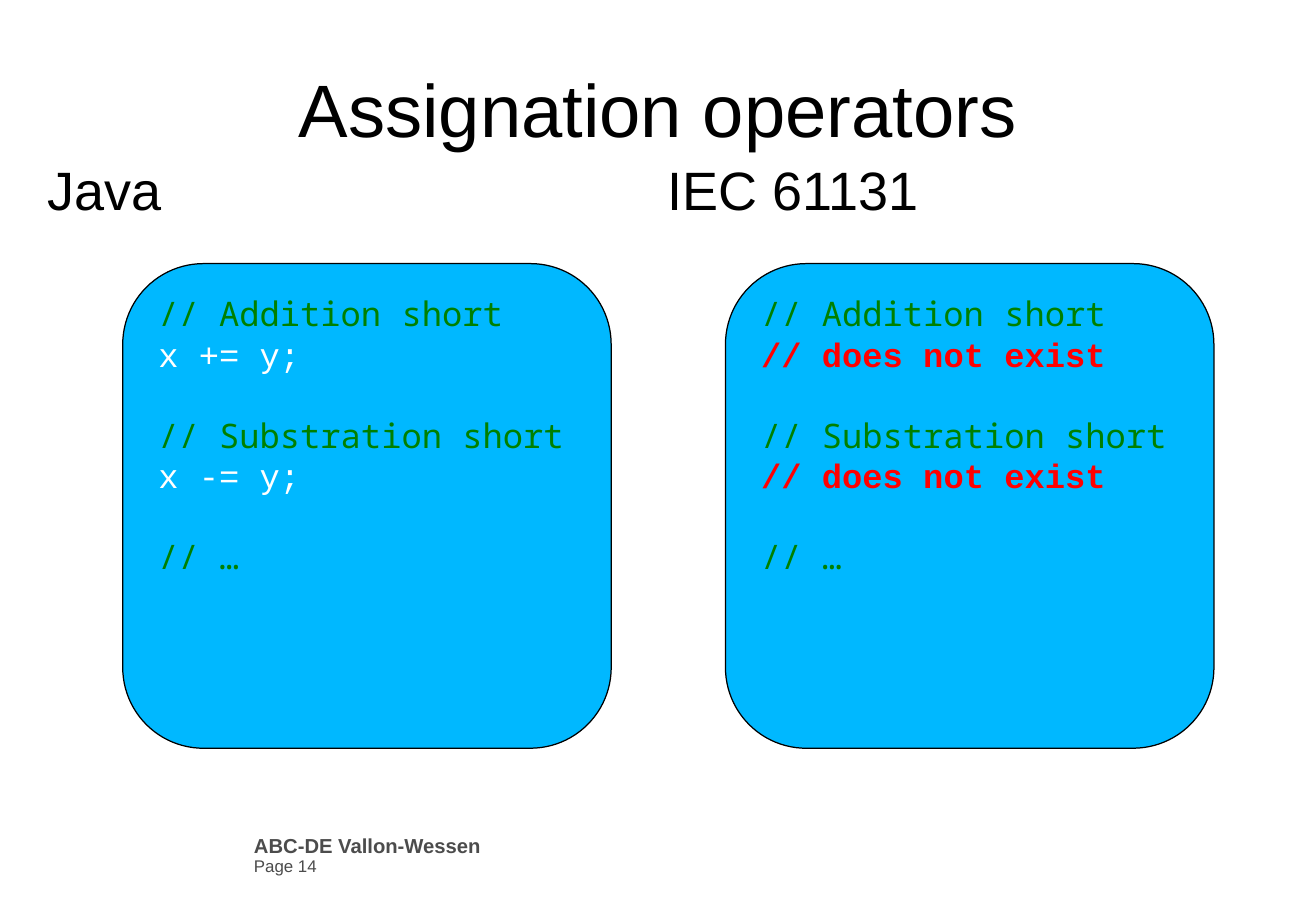
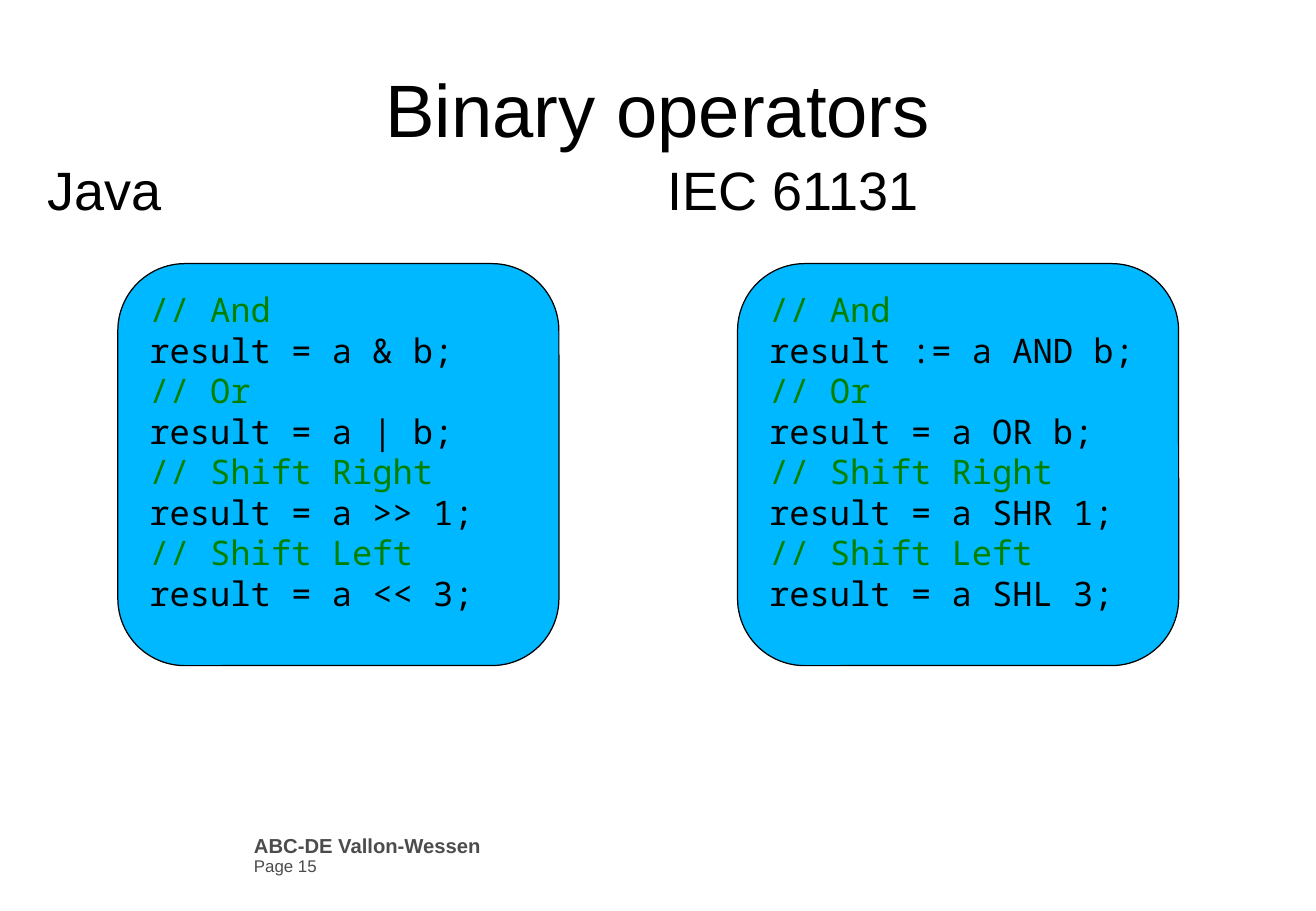
from dataclasses import dataclass

from pptx import Presentation
from pptx.dml.color import RGBColor
from pptx.enum.shapes import MSO_SHAPE
from pptx.enum.text import MSO_ANCHOR, MSO_AUTO_SIZE, PP_ALIGN
from pptx.oxml.ns import qn
from pptx.util import Inches, Pt


@dataclass(frozen=True)
class Theme:
    font: str = "Arial"
    code_font: str = "Noto Sans Mono"
    plain_code_font: str = "Courier New"
    black: str = "000000"
    white: str = "FFFFFF"
    grey: str = "4C4C4C"
    panel: str = "00B8FF"
    comment: str = "008000"
    warning: str = "FF0000"
    title_size: int = 44
    heading_size: int = 32
    code_size: int = 20
    footer_size: int = 12
    page_size: int = 10


theme = Theme()
MISSING = "// does not exist"
HEADINGS = ["Java", "IEC 61131"]
HEADING_LEFTS = [0.39, 5.49]
FIRST_PAGE = 14

# Each panel holds groups of code lines; gap is the space between groups in points
slides = [
    {
        "title": "Assignation operators",
        "lefts": [1.01, 5.97], "size": (4.02, 3.99), "gap": 24,
        "code_style": (theme.plain_code_font, theme.white),
        "panels": [
            [["// Addition short", "x += y;"],
             ["// Substration short", "x -= y;"],
             ["// …"]],
            [["// Addition short", MISSING],
             ["// Substration short", MISSING],
             ["// …"]],
        ],
    },
    {
        "title": "Binary operators",
        "lefts": [0.97, 6.07], "size": (3.63, 3.31), "gap": 0,
        "code_style": (theme.code_font, theme.black),
        "panels": [
            [["// And", "result = a & b;"],
             ["// Or", "result = a | b;"],
             ["// Shift Right", "result = a >> 1;"],
             ["// Shift Left", "result = a << 3;"]],
            [["// And", "result := a AND b;"],
             ["// Or", "result = a OR b;"],
             ["// Shift Right", "result = a SHR 1;"],
             ["// Shift Left", "result = a SHL 3;"]],
        ],
    },
]


def place(shape, left, top, width, height, anchor=MSO_ANCHOR.TOP, margin_top=0):
    """Position a text shape and give its frame tight margins."""
    shape.left, shape.top = Inches(left), Inches(top)
    shape.width, shape.height = Inches(width), Inches(height)
    frame = shape.text_frame
    frame.word_wrap = True
    frame.auto_size = MSO_AUTO_SIZE.NONE
    frame.vertical_anchor = anchor
    frame.margin_left = frame.margin_right = frame.margin_bottom = 0
    frame.margin_top = Inches(margin_top)


def write(paragraph, text, size, color, font=theme.font, bold=False, spacing=1.0):
    """Set the text of a paragraph and format its run."""
    paragraph.text = text
    paragraph.line_spacing = spacing
    paragraph.space_before = Pt(0)
    style = paragraph.runs[0].font
    style.name, style.size, style.bold = font, Pt(size), bold
    style.color.rgb = RGBColor.from_string(color)


presentation = Presentation()
presentation.slide_width = Inches(10.83)
presentation.slide_height = Inches(7.5)
two_content = presentation.slide_layouts[3]

for page, content in enumerate(slides, FIRST_PAGE):
    slide = presentation.slides.add_slide(two_content)

    # Title
    title = slide.shapes.title
    place(title, 0.54, 0.3, 9.75, 1.25, MSO_ANCHOR.MIDDLE)
    paragraph = title.text_frame.paragraphs[0]
    write(paragraph, content["title"], theme.title_size, theme.black, spacing=0.93)
    paragraph.alignment = PP_ALIGN.CENTER

    # Column headings
    for index, (heading, left) in enumerate(zip(HEADINGS, HEADING_LEFTS), 1):
        body = slide.placeholders[index]
        place(body, left, 1.31, 4.8, 5.59, margin_top=0.03)
        paragraph = body.text_frame.paragraphs[0]
        write(paragraph, heading, theme.heading_size, theme.black, spacing=0.93)
        paragraph.space_after = Pt(14.2)
        properties = paragraph._p.get_or_add_pPr()
        properties.set("marL", str(Inches(0.38)))
        properties.set("indent", str(-Inches(0.38)))
        properties.append(properties.makeelement(qn("a:buNone"), {}))

    # Code panels
    for left, groups in zip(content["lefts"], content["panels"]):
        width, height = content["size"]
        panel = slide.shapes.add_shape(
            MSO_SHAPE.ROUNDED_RECTANGLE,
            Inches(left), Inches(2.17), Inches(width), Inches(height))
        panel.shadow.inherit = False
        panel.fill.solid()
        panel.fill.fore_color.rgb = RGBColor.from_string(theme.panel)
        panel.line.color.rgb = RGBColor.from_string(theme.black)
        panel.line.width = Pt(0.75)
        frame = panel.text_frame
        frame.word_wrap = True
        frame.vertical_anchor = MSO_ANCHOR.TOP
        paragraph = None
        for group in groups:
            for line in group:
                new_group = paragraph is not None and line is group[0]
                paragraph = frame.add_paragraph() if paragraph else frame.paragraphs[0]
                if line == MISSING:
                    font, color = theme.plain_code_font, theme.warning
                elif line.startswith("//"):
                    font, color = theme.code_font, theme.comment
                else:
                    font, color = content["code_style"]
                write(paragraph, line, theme.code_size, color, font, line == MISSING)
                paragraph.alignment = PP_ALIGN.LEFT
                if new_group:
                    paragraph.space_before = Pt(content["gap"])

    # Footer
    footer = slide.shapes.add_textbox(0, 0, 0, 0)
    place(footer, 2.09, 6.88, 2.95, 0.28)
    frame = footer.text_frame
    write(frame.paragraphs[0], "ABC-DE Vallon-Wessen", theme.footer_size,
          theme.grey, bold=True, spacing=0.9)
    write(frame.add_paragraph(), f"Page {page}", theme.page_size,
          theme.grey, spacing=0.9)

presentation.save("out.pptx")
